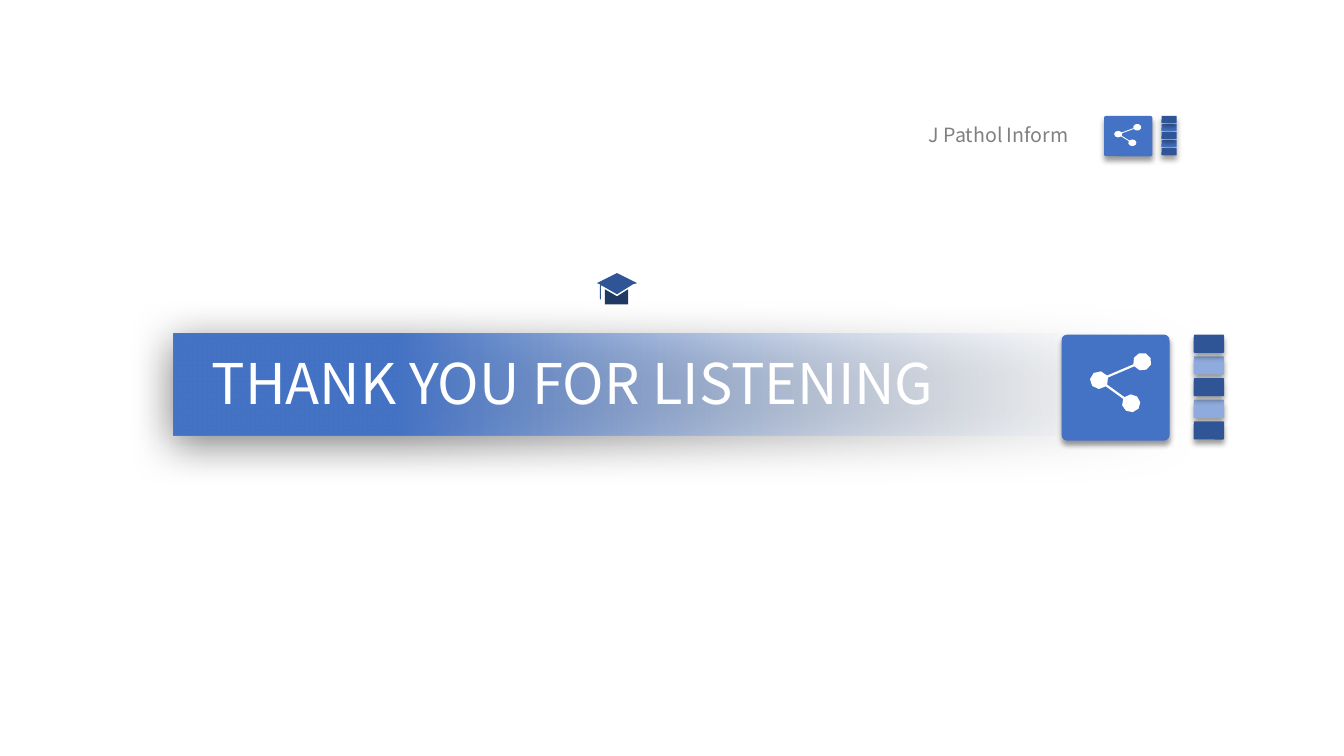
import math

import lxml.etree
import pptx
import pptx.dml.color
import pptx.enum.shapes
import pptx.enum.text
import pptx.oxml.ns
import pptx.util

Inches = pptx.util.Inches
qn = pptx.oxml.ns.qn
FONT = "Noto Sans CJK SC"
BLUE, DARK, LIGHT, NAVY, WHITE = "4472C4", "2F5597", "8FAADC", "203864", "FFFFFF"


def paint(color_format, hex_color):
    color_format.rgb = pptx.dml.color.RGBColor.from_string(hex_color)


def fill_plain(shape, hex_color):
    shape.fill.solid()
    paint(shape.fill.fore_color, hex_color)
    shape.line.fill.background()
    shape.shadow.inherit = False


def cast_shadow(shape, opacity, blur, distance, direction):
    shape.shadow.inherit = False
    effects = shape.element.spPr.find(qn("a:effectLst"))
    shadow = lxml.etree.SubElement(
        effects, qn("a:outerShdw"), blurRad=str(pptx.util.Pt(blur)),
        dist=str(pptx.util.Pt(distance)), dir=str(direction * 60000),
        algn="ctr", rotWithShape="0")
    color = lxml.etree.SubElement(shadow, qn("a:srgbClr"), val="000000")
    lxml.etree.SubElement(color, qn("a:alpha"), val=str(opacity * 1000))


def add_outline(shapes, points, hex_color):
    corners = [(Inches(x), Inches(y)) for x, y in points]
    builder = shapes.build_freeform(*corners[0], scale=1.0)
    builder.add_line_segments(corners[1:], close=True)
    fill_plain(builder.convert_to_shape(), hex_color)


def add_tile(shapes, left, top, width, height, hex_color):
    shift = (width - height) / 2
    tile = shapes.add_shape(
        pptx.enum.shapes.MSO_SHAPE.ROUNDED_RECTANGLE,
        Inches(left + shift), Inches(top - shift), Inches(height), Inches(width))
    tile.rotation = 270
    tile.adjustments[0] = 0.05
    fill_plain(tile, hex_color)
    cast_shadow(tile, 40, 4, 3, 90)


def add_strip(shapes, left, top, width, height, pitch, accent):
    for row in (3, 4, 1, 2, 0):
        color = accent if row % 2 else DARK
        add_tile(shapes, left, top + row * pitch, width, height, color)


def add_share_icon(shapes, left, top, width, height):
    radius, gap = 0.15, 7
    arcs = [(0.85, 0.15, 156 + gap, 516 - gap),
            (0.15, 0.46, -24 + gap, 37 - gap),
            (0.67, 0.85, 217 + gap, 577 - gap),
            (0.15, 0.46, 37 + gap, 336 - gap)]
    points = []
    for center_x, center_y, start, end in arcs:
        steps = math.ceil((end - start) / 48)
        for step in range(steps + 1):
            angle = math.radians(start + (end - start) * step / steps)
            points.append((left + width * (center_x + radius * math.cos(angle)),
                           top + height * (center_y + radius * math.sin(angle))))
    add_outline(shapes, points, WHITE)


def write_line(box, text, size, hex_color, alignment):
    frame = box.text_frame
    frame.text = text
    frame.word_wrap = True
    frame.auto_size = pptx.enum.text.MSO_AUTO_SIZE.SHAPE_TO_FIT_TEXT
    frame.vertical_anchor = pptx.enum.text.MSO_ANCHOR.TOP
    frame.margin_left = frame.margin_right = Inches(0.07)
    frame.margin_top = frame.margin_bottom = Inches(0.04)
    para = frame.paragraphs[0]
    para.alignment = alignment
    span = para.runs[0]
    span.font.size = pptx.util.Pt(size)
    span.font.name = FONT
    paint(span.font.color, hex_color)


def add_banner(page, left, top, width, height):
    banner = page.shapes.add_shape(
        pptx.enum.shapes.MSO_SHAPE.RECTANGLE,
        Inches(left), Inches(top), Inches(width), Inches(height))
    banner.line.fill.background()
    banner.fill.gradient()
    banner.fill.gradient_angle = 180
    stops = banner.fill.gradient_stops
    for stop, position, color in zip(stops, (0, 0.78), ("F7FAFD", BLUE)):
        stop.position = position
        paint(stop.color, color)
    clear = banner.element.spPr.find(".//" + qn("a:srgbClr"))
    lxml.etree.SubElement(clear, qn("a:alpha"), val="0")
    cast_shadow(banner, 50, 31, 6, 97)


def add_closing_title(page, left, top, width, height):
    title = page.shapes.title
    title.left, title.top = Inches(left), Inches(top)
    title.width, title.height = Inches(width), Inches(height)
    write_line(title, "THANK YOU FOR LISTENING", 40, WHITE,
               pptx.enum.text.PP_ALIGN.LEFT)
    page.shapes[-1].element.addnext(title.element)


def add_cap(page, left, top):
    shapes = page.shapes.add_group_shape().shapes
    board = [(0.06, 0.13), (0.2, 0.21), (0.36, 0.11), (0.4, 0.1), (0.2, 0),
             (0, 0.1), (0.03, 0.11), (0.03, 0.26), (0.04, 0.26), (0.04, 0.12)]
    base = [(0.31, 0.16), (0.2, 0.23), (0.08, 0.16), (0.08, 0.31), (0.31, 0.31)]
    for outline, color in ((board, DARK), (base, NAVY)):
        add_outline(shapes, [(left + x, top + y) for x, y in outline], color)


def add_journal_header(page, left, top):
    shapes = page.shapes.add_group_shape().shapes
    add_strip(shapes, left + 2.67, top, 0.15, 0.07, 0.08, BLUE)
    add_tile(shapes, left + 2.1, top, 0.48, 0.4, BLUE)
    add_share_icon(shapes, left + 2.2, top + 0.08, 0.27, 0.22)
    label = shapes.add_textbox(Inches(left), Inches(top + 0.03),
                               Inches(2.11), Inches(0.31))
    write_line(label, "J Pathol Inform", 14, "808080",
               pptx.enum.text.PP_ALIGN.CENTER)


def build_closing_page(deck):
    page = deck.slides.add_slide(deck.slide_layouts[5])
    add_banner(page, 1.72, 3.31, 10, 1.01)
    strip = page.shapes.add_group_shape()
    add_strip(strip.shapes, 11.84, 3.32, 0.3, 0.18, 0.215, LIGHT)
    add_closing_title(page, 2.03, 3.42, 8.17, 0.75)
    add_tile(page.shapes, 10.53, 3.32, 1.07, 1.05, BLUE)
    add_share_icon(page.shapes, 10.81, 3.5, 0.61, 0.59)
    add_cap(page, 5.92, 2.71)
    add_journal_header(page, 8.85, 1.15)


def main():
    deck = pptx.Presentation()
    deck.slide_width, deck.slide_height = Inches(13.33), Inches(7.5)
    build_closing_page(deck)
    deck.save("out.pptx")


if __name__ == "__main__":
    main()
